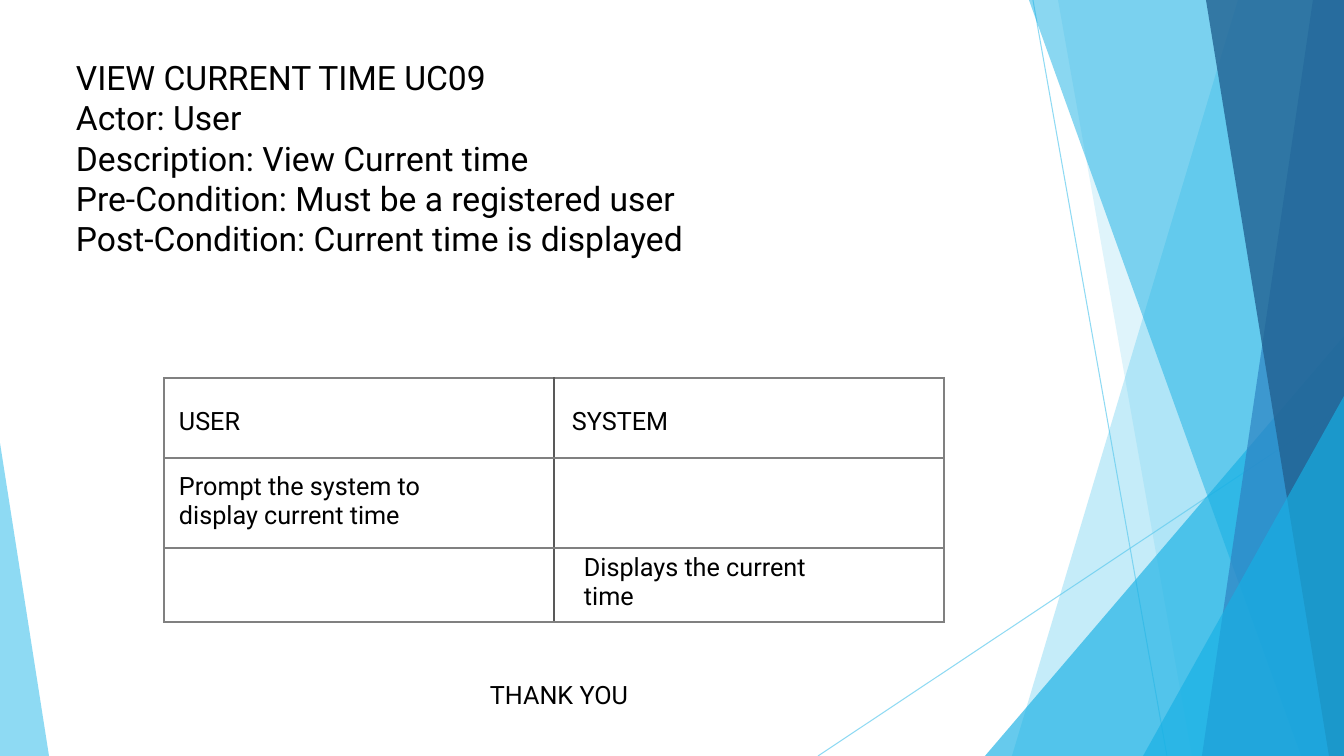
from lxml.etree import SubElement
from pptx import Presentation
from pptx.dml.color import RGBColor
from pptx.enum.shapes import MSO_CONNECTOR, MSO_SHAPE
from pptx.oxml.ns import qn
from pptx.util import Pt

PX = 914400 / 100.8
WIDTH, HEIGHT = 1344, 756
COLORS = {
    "sky": "5FCBEF",
    "cyan": "17B0E4",
    "blue": "2E83C3",
    "navy": "226292",
    "border": "808080",
    "divider": "595959",
    "text": "000000",
}


def px(length):
    return round(length * PX)


def paint(fill, color, opacity):
    fill.solid()
    fill.fore_color.rgb = RGBColor.from_string(COLORS[color])
    choice = fill._xPr.find(qn("a:solidFill"))[0]
    SubElement(choice, qn("a:alpha"), val=str(opacity * 1000))


deck = Presentation()
deck.slide_width, deck.slide_height = px(WIDTH), px(HEIGHT)
page = deck.slides.add_slide(deck.slide_layouts[6])

for start_x, start_y, end_x in [(1033, 0, 1167), (WIDTH, 406, 818)]:
    ray = page.shapes.add_connector(
        MSO_CONNECTOR.STRAIGHT, px(start_x), px(start_y), px(end_x), px(HEIGHT))
    ray.line.width = Pt(0.75)
    paint(ray.line.fill, "sky", 70)
    SubElement(ray._element.spPr, qn("a:effectLst"))

bands = [
    (1238, 1012, "sky", 36),
    (1058, 1192, "sky", 20),
    ("triangle", (985, 336, 359, 420, 1), "cyan", 66),
    (1029, 1301, "cyan", 50),
    (1313, 1202, "blue", 70),
    (1206, 1329, "navy", 80),
    ("triangle", (1143, 396, 201, 360, 1), "cyan", 66),
    ("triangle", (0, 443, 49, 313, 0), "sky", 70),
]
for first, second, color, opacity in bands:
    if first == "triangle":
        left, top, width, height, apex = second
        facet = page.shapes.add_shape(
            MSO_SHAPE.ISOSCELES_TRIANGLE, px(left), px(top), px(width), px(height))
        facet.adjustments[0] = apex
    else:
        outline = page.shapes.build_freeform(first, 0, scale=PX)
        outline.add_line_segments([(WIDTH, 0), (WIDTH, HEIGHT), (second, HEIGHT)])
        facet = outline.convert_to_shape()
    facet.shadow.inherit = False
    facet.line.fill.background()
    paint(facet.fill, color, opacity)

use_case = [
    "VIEW CURRENT TIME UC09",
    "Actor: User",
    "Description: View Current time",
    "Pre-Condition: Must be a registered user",
    "Post-Condition: Current time is displayed",
]
text_frames = []
for text, left, top, width, height, size in [
    ("\n".join(use_case), 66, 52, 697, 214, 24),
    ("THANK YOU", 480, 674, 351, 40, 18),
]:
    box = page.shapes.add_textbox(px(left), px(top), px(width), px(height))
    box.text_frame.word_wrap = True
    box.text_frame.text = text
    text_frames.append((box.text_frame, size))

row_heights = [80, 90, 74]
column_width = 390
steps = page.shapes.add_table(
    3, 2, px(164), px(378), px(2 * column_width), px(sum(row_heights))).table
steps.first_row = steps.horz_banding = False
for row, height in zip(steps.rows, row_heights):
    row.height = px(height)
for column in steps.columns:
    column.width = px(column_width)

cell_texts = {
    (0, 0): ("USER", 15, 29, 10),
    (0, 1): ("SYSTEM", 18, 29, 10),
    (1, 0): ("Prompt the system to display current time", 15, 14, 58),
    (2, 1): ("Displays the current time", 30, 5, 113),
}
for row in range(3):
    for column in range(2):
        cell = steps.cell(row, column)
        text, left, top, right = cell_texts.get((row, column), ("", 10, 5, 10))
        cell.text = text
        cell.margin_left, cell.margin_top = px(left), px(top)
        cell.margin_right, cell.margin_bottom = px(right), 0
        text_frames.append((cell.text_frame, 18))
        properties = cell._tc.get_or_add_tcPr()
        for side, outer in [
            ("L", column == 0), ("R", column == 1), ("T", row == 0), ("B", row == 2),
        ]:
            color = "divider" if side in "LR" and not outer else "border"
            width = Pt(1.5 if outer else 1)
            edge = SubElement(properties, qn(f"a:ln{side}"), w=str(width))
            solid = SubElement(edge, qn("a:solidFill"))
            SubElement(solid, qn("a:srgbClr"), val=COLORS[color])
        cell.fill.background()

for frame, size in text_frames:
    for paragraph in frame.paragraphs:
        for span in paragraph.runs:
            span.font.name = "Roboto"
            span.font.size = Pt(size)
            span.font.color.rgb = RGBColor.from_string(COLORS["text"])

deck.save("out.pptx")
